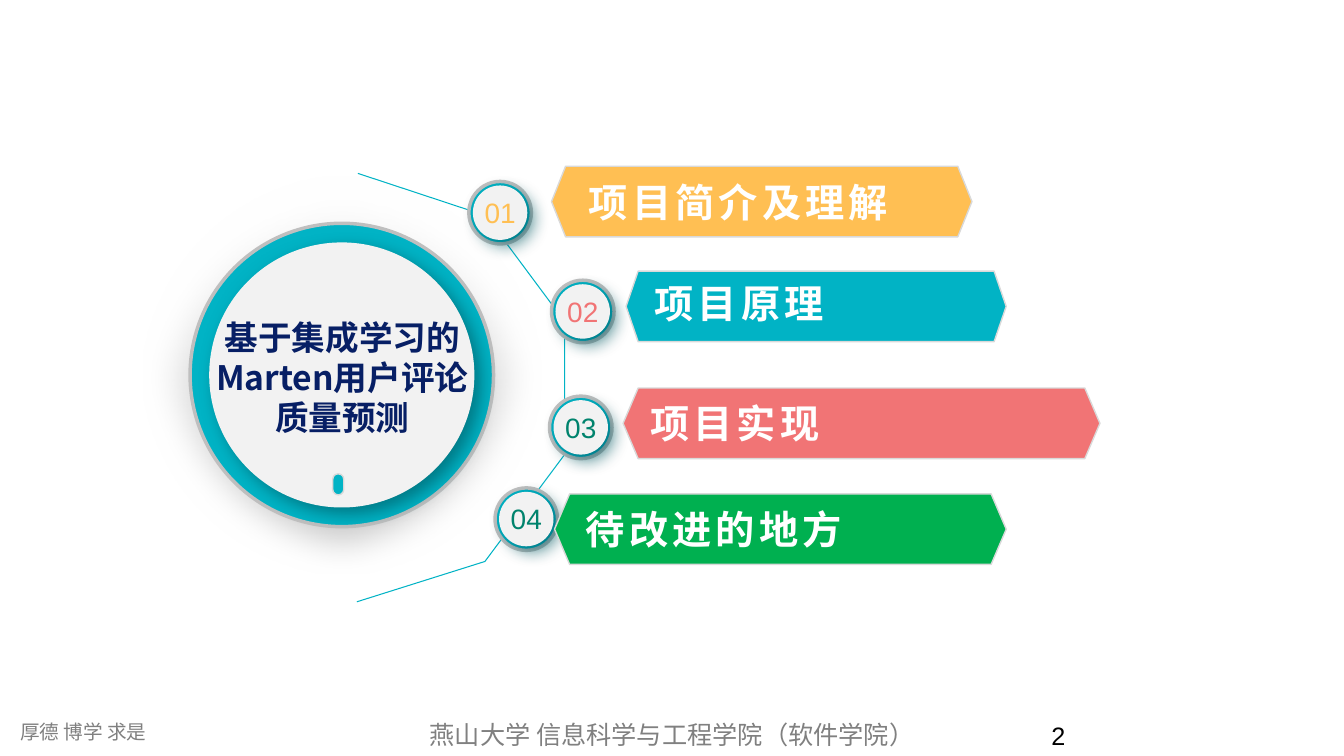
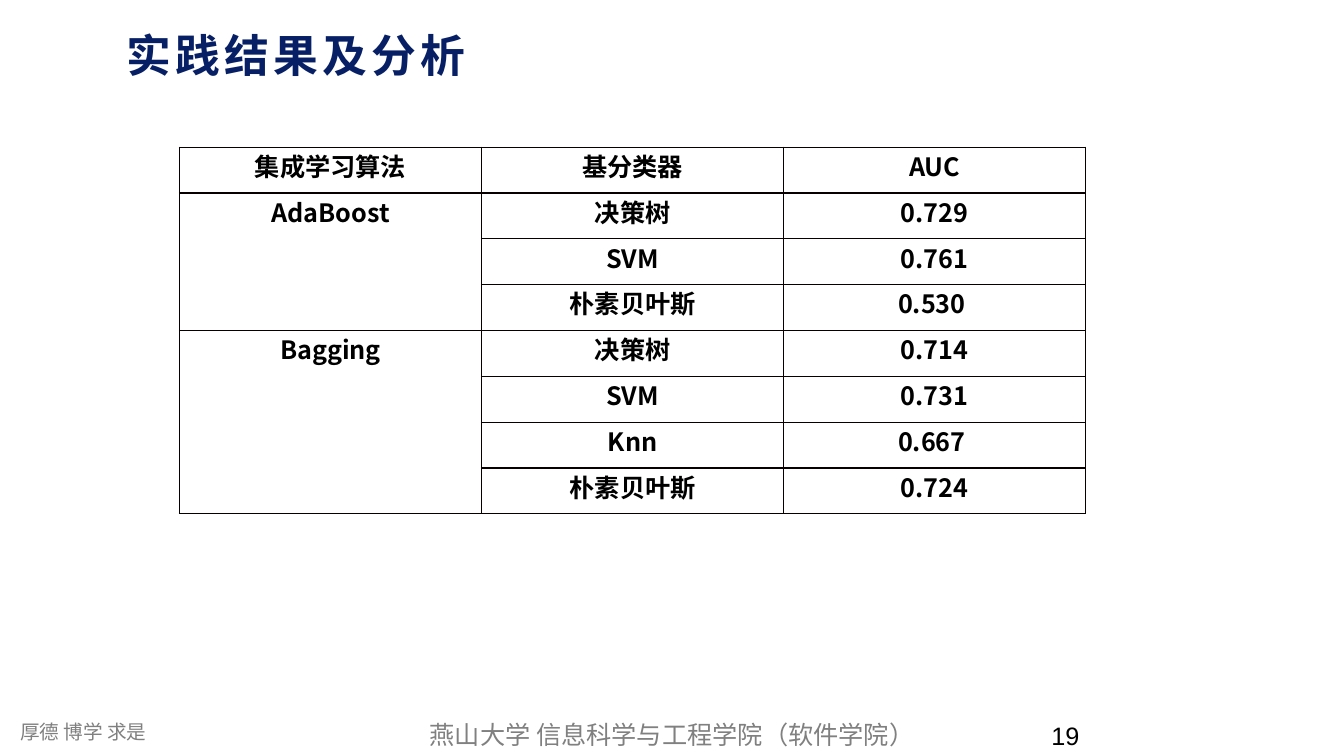
from lxml.etree import SubElement
from pptx import Presentation
from pptx.dml.color import RGBColor
from pptx.enum.shapes import MSO_SHAPE as Preset
from pptx.enum.text import MSO_ANCHOR as Anchor, MSO_AUTO_SIZE as AutoSize, PP_ALIGN as Align
from pptx.oxml.ns import qn
from pptx.util import Inches, Pt

WHITE = RGBColor(0xFF, 0xFF, 0xFF)
BLACK = RGBColor(0x00, 0x00, 0x00)
BORDER = RGBColor(0x08, 0x00, 0x00)
PALE = RGBColor(0xF2, 0xF2, 0xF2)
LIGHT_GRAY = RGBColor(0xD9, 0xD9, 0xD9)
SILVER = RGBColor(0xBF, 0xBF, 0xBF)
GRAY = RGBColor(0x80, 0x80, 0x80)
NAVY = RGBColor(0x07, 0x1F, 0x65)
TEAL = RGBColor(0x01, 0xB3, 0xC5)
DARK_TEAL = RGBColor(0x00, 0x59, 0x62)
ORANGE = RGBColor(0xFF, 0xBF, 0x53)
CORAL = RGBColor(0xF1, 0x74, 0x75)
GREEN = RGBColor(0x00, 0xB0, 0x50)
DEEP_GREEN = RGBColor(0x00, 0x83, 0x6D)

LATIN = "Arial"
CHINESE = "Noto Sans CJK SC"
BANNER_HEIGHT = 0.7
LAYOUT_TITLE_ONLY, LAYOUT_BLANK = 5, 6

# centre x, centre y, number, colour
NODES = [
    (4.96, 2.11, "01", ORANGE),
    (5.78, 3.09, "02", CORAL),
    (5.76, 4.24, "03", DEEP_GREEN),
    (5.22, 5.15, "04", DEEP_GREEN),
]
# left, right, top, notch depth, colour, text, text left, text top, text width
BANNERS = [
    (5.47, 9.64, 1.65, 0.14, ORANGE, "项目简介及理解", 5.84, 1.77, 3.49),
    (6.21, 9.98, 2.69, 0.12, TEAL, "项目原理", 6.49, 2.77, 3.14),
    (6.18, 10.91, 3.85, 0.15, CORAL, "项目实现", 6.45, 3.96, 1.8),
    (5.5, 9.98, 4.9, 0.15, GREEN, "待改进的地方", 5.81, 5.01, 2.8),
]
CONNECTING_PATH = [(3.55, 1.72), (4.82, 2.14), (5.6, 3.19), (5.6, 4.51), (4.81, 5.57), (3.54, 5.97)]

HEADINGS = ["集成学习算法", "基分类器", "AUC"]
RESULTS = {
    "AdaBoost": [("决策树", "0.729"), ("SVM", "0.761"), ("朴素贝叶斯", "0.530 ")],
    "Bagging": [("决策树", "0.714"), ("SVM", "0.731"), ("Knn", "0.667 "), ("朴素贝叶斯", "0.724")],
}


class Deck:
    """Holds the shared style and the slide being filled."""

    def __init__(self):
        self.presentation = Presentation()
        self.presentation.slide_width = Inches(13.33)
        self.presentation.slide_height = Inches(7.5)
        self.slide = None

    def new_slide(self, number, title=None):
        layout = LAYOUT_TITLE_ONLY if title else LAYOUT_BLANK
        self.slide = self.presentation.slides.add_slide(self.presentation.slide_layouts[layout])
        self.text("厚德 博学 求是", 0.1, 7.02, 2.02, 0.38, 14, GRAY, line_spacing=1.3)
        self.text("燕山大学 信息科学与工程学院（软件学院）", 3.48, 7.09, 6.37, 0.4, 18, GRAY,
                  font=CHINESE, align=Align.CENTER)
        self.text(number, 10.33, 7.1, 3, 0.4, 18, BLACK)
        if title:
            self.title(title)

    def run(self, paragraph, text, size, color, font=LATIN, bold=False, spacing=0):
        run = paragraph.add_run()
        run.text = text
        run.font.size = Pt(size)
        run.font.bold = bold
        run.font.color.rgb = color
        run.font.name = font
        properties = run.font._element
        SubElement(properties, qn("a:ea")).set("typeface", CHINESE)
        if spacing:
            properties.set("spc", str(spacing * 100))

    def title(self, text):
        shape = self.slide.shapes.title
        shape.left, shape.top = Inches(1.15), Inches(0.09)
        shape.width, shape.height = Inches(12.09), Inches(0.77)
        frame = shape.text_frame
        frame.auto_size = AutoSize.NONE
        frame.vertical_anchor = Anchor.BOTTOM
        paragraph = frame.paragraphs[0]
        paragraph.alignment = Align.LEFT
        self.run(paragraph, text, 32, NAVY, bold=True, spacing=3)

    def text(self, text, left, top, width, height, size, color, align=Align.LEFT,
             inset=True, line_spacing=None, **style):
        box = self.slide.shapes.add_textbox(Inches(left), Inches(top), Inches(width), Inches(height))
        frame = box.text_frame
        frame.word_wrap = True
        if not inset:
            frame.margin_left = frame.margin_right = frame.margin_top = frame.margin_bottom = 0
        paragraph = frame.paragraphs[0]
        paragraph.alignment = align
        if line_spacing:
            paragraph.line_spacing = line_spacing
        self.run(paragraph, text, size, color, **style)

    def paint(self, shape, fill=None, line=None, line_width=1):
        shape.shadow.inherit = False
        if fill is None:
            shape.fill.background()
        else:
            shape.fill.solid()
            shape.fill.fore_color.rgb = fill
        if line is None:
            shape.line.fill.background()
        else:
            shape.line.color.rgb = line
            shape.line.width = Pt(line_width)

    def effect(self, shape, tag, **attributes):
        effects = shape.element.spPr.find(qn("a:effectLst"))
        effect = SubElement(effects, qn(tag))
        for name, value in attributes.items():
            effect.set(name, str(value))
        return effect

    def circle(self, center_x, center_y, diameter, fill=None, line=None, line_width=1):
        radius = diameter / 2
        shape = self.slide.shapes.add_shape(
            Preset.OVAL, Inches(center_x - radius), Inches(center_y - radius),
            Inches(diameter), Inches(diameter))
        self.paint(shape, fill, line, line_width)
        return shape

    def disc(self, center_x, center_y, halo, ring, face, softness):
        """Draw a soft halo, a teal ring and a pale face with a shadow, all concentric."""
        glow = self.circle(center_x, center_y, halo)
        glow.fill.gradient()
        glow.fill.gradient_angle = 270
        for stop, color in zip(glow.fill.gradient_stops, (WHITE, SILVER)):
            stop.color.rgb = color
        self.effect(glow, "a:softEdge", rad=Inches(softness))
        self.circle(center_x, center_y, ring, TEAL, SILVER, 2.5)
        plate = self.circle(center_x, center_y, face, PALE)
        shadow = self.effect(plate, "a:outerShdw", blurRad=Pt(12), dist=Pt(6),
                             dir=45 * 60000, algn="tl", rotWithShape=0)
        color = SubElement(shadow, qn("a:srgbClr"))
        color.set("val", str(DARK_TEAL))
        SubElement(color, qn("a:alpha")).set("val", "64000")

    def outline(self, points, close, **paint):
        start, *others = [(Inches(x), Inches(y)) for x, y in points]
        builder = self.slide.shapes.build_freeform(*start)
        builder.add_line_segments(others, close=close)
        self.paint(builder.convert_to_shape(), **paint)

    def node(self, center_x, center_y, number, color):
        self.disc(center_x, center_y, 0.82, 0.62, 0.54, 0.14)
        self.text(number, center_x - 0.31, center_y - 0.22, 0.62, 0.44, 20, color, align=Align.CENTER)

    def banner(self, left, right, top, notch, color, text, text_left, text_top, text_width):
        middle, bottom = top + BANNER_HEIGHT / 2, top + BANNER_HEIGHT
        points = [(left + notch, bottom), (left, middle), (left + notch, top),
                  (right - notch, top), (right, middle), (right - notch, bottom)]
        self.outline(points, close=True, fill=color, line=LIGHT_GRAY)
        self.text(text, text_left, text_top, text_width, 0.47, 28, WHITE,
                  inset=False, bold=True, spacing=3)

    def pill(self, left, top, width, height):
        shape = self.slide.shapes.add_shape(
            Preset.ROUNDED_RECTANGLE, Inches(left), Inches(top), Inches(width), Inches(height))
        shape.adjustments[0] = 0.5
        self.paint(shape, TEAL, LIGHT_GRAY)

    def cell(self, cell, text):
        cell.margin_left = cell.margin_right = Inches(0.07)
        cell.margin_top = cell.margin_bottom = 0
        properties = cell._tc.get_or_add_tcPr()
        for side in ("a:lnL", "a:lnR", "a:lnT", "a:lnB"):
            border = SubElement(properties, qn(side))
            border.set("w", str(Pt(1)))
            fill = SubElement(border, qn("a:solidFill"))
            SubElement(fill, qn("a:srgbClr")).set("val", str(BORDER))
        cell.fill.background()
        if text:
            paragraph = cell.text_frame.paragraphs[0]
            paragraph.alignment = Align.CENTER
            self.run(paragraph, text, 18, BLACK, font=CHINESE, bold=True)

    def table(self, headings, groups, left, top, width, height):
        """Draw a table whose first column spans all the rows of each group."""
        rows = [headings]
        spans = []
        for name, entries in groups.items():
            spans.append((len(rows), len(rows) + len(entries) - 1))
            rows += [(name if index == 0 else "", *entry) for index, entry in enumerate(entries)]
        table = self.slide.shapes.add_table(
            len(rows), len(headings), Inches(left), Inches(top), Inches(width), Inches(height)).table
        table.first_row = table.horz_banding = False
        for row_index, row in enumerate(rows):
            for column_index, text in enumerate(row):
                self.cell(table.cell(row_index, column_index), text)
        for first, last in spans:
            table.cell(first, 0).merge(table.cell(last, 0))


def build_contents(deck):
    deck.new_slide("2")
    deck.outline(CONNECTING_PATH, close=False, line=TEAL, line_width=0.75)
    deck.disc(3.39, 3.72, 4.04, 3.01, 2.63, 0.35)
    deck.pill(3.3, 4.7, 0.11, 0.21)
    deck.text("基于集成学习的Marten用户评论质量预测", 2.03, 3.14, 2.73, 1.21, 24, NAVY,
              align=Align.CENTER, inset=False, font=CHINESE, bold=True)
    for node in NODES:
        deck.node(*node)
    for banner in BANNERS:
        deck.banner(*banner)


def build_results(deck):
    deck.new_slide("19", "实践结果及分析")
    deck.table(HEADINGS, RESULTS, 1.78, 1.46, 8.99, 3.64)


def main():
    deck = Deck()
    build_contents(deck)
    build_results(deck)
    deck.presentation.save("out.pptx")


if __name__ == "__main__":
    main()
